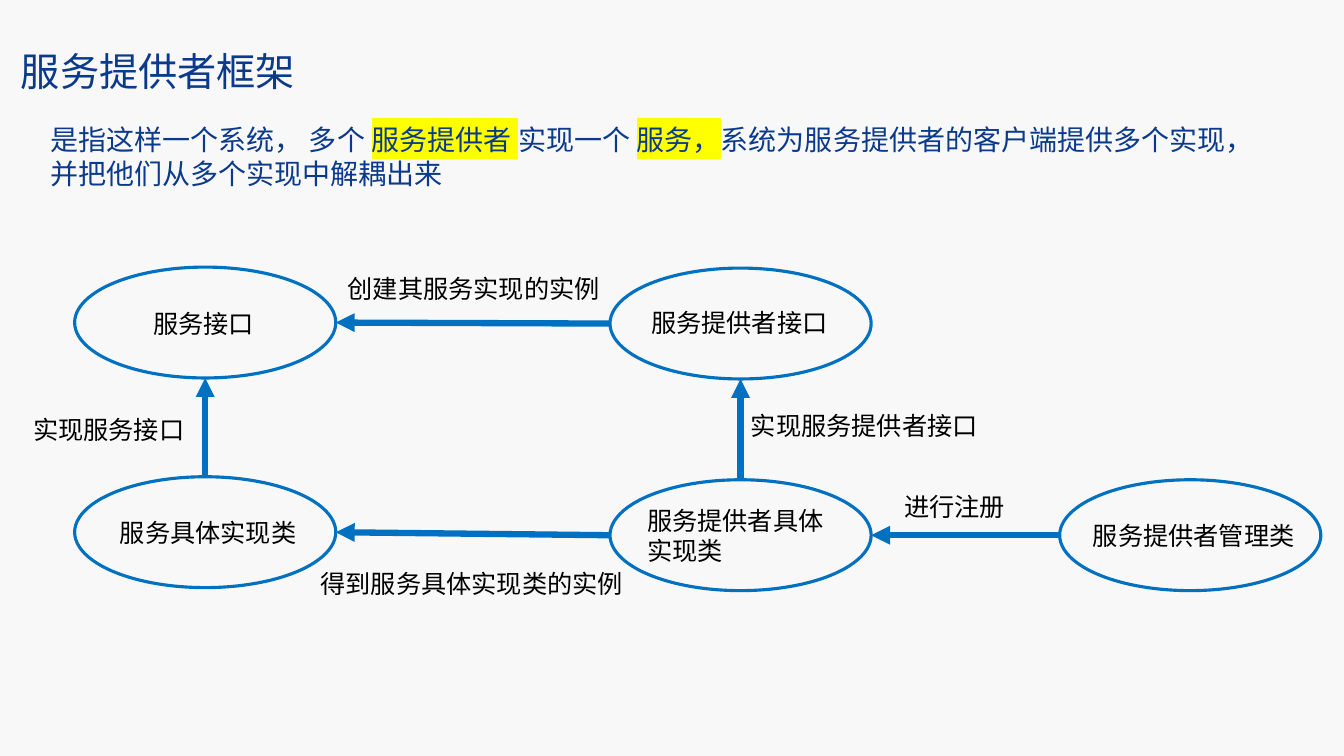
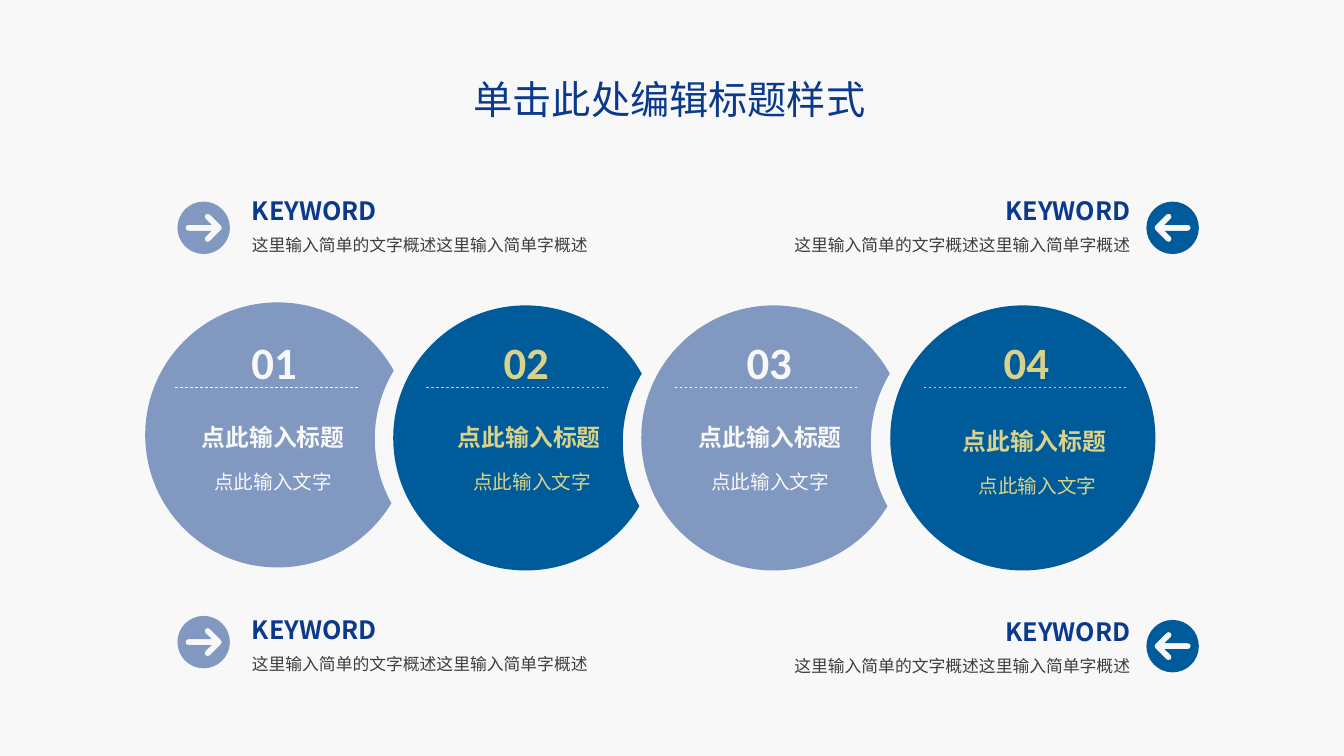
from itertools import pairwise
from math import cos, radians, sin, tan

from lxml.etree import SubElement
from pptx import Presentation
from pptx.dml.color import RGBColor
from pptx.enum.dml import MSO_LINE
from pptx.enum.shapes import MSO_CONNECTOR, MSO_SHAPE
from pptx.enum.text import MSO_AUTO_SIZE, PP_ALIGN
from pptx.oxml.ns import qn
from pptx.util import Inches, Pt

NAVY = RGBColor(0x0B, 0x3A, 0x8C)
BLUE = RGBColor(0x00, 0x5B, 0x9A)
BRIGHT_BLUE = RGBColor(0x00, 0x70, 0xC0)
PALE = RGBColor(0xF8, 0xF8, 0xF8)
SAND = RGBColor(0xD9, 0xD2, 0x8A)
GREY = RGBColor(0x3E, 0x3E, 0x3E)
BLACK = RGBColor(0, 0, 0)
CJK = "Noto Sans CJK SC"
LATIN = "Calibri"

TITLE = {"size": Pt(28), "name": CJK}
INTRO = {"size": Pt(20), "name": CJK}
LABEL = {"size": Pt(18), "name": LATIN}
NUMBER = {"size": Pt(32), "name": LATIN, "bold": True}
HEADING = {"size": Pt(17), "name": CJK, "bold": True}
CAPTION = {"size": Pt(14), "name": CJK}
KEYWORD = {"size": Pt(18), "name": CJK, "bold": True}
SUMMARY = {"size": Pt(12), "name": CJK}

# Slide 1: runs are (text, highlighted)
FRAMEWORK_TITLE = "服务提供者框架"
DEFINITION = [
    [("是指这样一个系统， 多个 ", False), ("服务提供者 ", True), ("实现一个 ", False),
     ("服务，", True), ("系统为服务提供者的客户端提供多个实现，", False)],
    [("并把他们从多个实现中解耦出来", False)],
]
NODE_W, NODE_H = 2.59, 1.1
NODES = {  # left, top, label, label box
    "service": (0.74, 2.65, "服务接口", (1.42, 3.01, 1.21, 0.4)),
    "provider": (6.05, 2.66, "服务提供者接口", (6.36, 3.0, 1.97, 0.4)),
    "service_class": (0.74, 4.73, "服务具体实现类", (1.09, 5.08, 1.96, 0.4)),
    "provider_class": (6.05, 4.76, "服务提供者具体\n实现类", (6.32, 4.96, 1.97, 0.71)),
    "manager": (10.51, 4.76, "服务提供者管理类", (10.74, 5.11, 2.22, 0.4)),
}
RELATIONS = [  # source, target, direction, label, label box
    ("provider", "service", "left", "创建其服务实现的实例", (3.35, 2.66, 2.73, 0.4)),
    ("provider_class", "service_class", "left", "得到服务具体实现类的实例",
     (3.08, 5.59, 3.23, 0.4)),
    ("service_class", "service", "up", "实现服务接口", (0.23, 4.06, 1.72, 0.4)),
    ("provider_class", "provider", "up", "实现服务提供者接口", (7.35, 4.02, 2.47, 0.4)),
    ("manager", "provider_class", "left", "进行注册", (8.87, 4.83, 1.21, 0.4)),
]

# Slide 2
STEPS_TITLE = "单击此处编辑标题样式"
STEP_HEADING, STEP_CAPTION = "点此输入标题", "点此输入文字"
KEYWORD_TEXT = "KEYWORD"
SUMMARY_TEXT = "这里输入简单的文字概述这里输入简单字概述"
RADIUS, STEP_LEFT, STEP_PITCH = 1.315, 1.44, 2.46
STEPS = [  # circle top, number left, rule ends, heading left, caption left, heading top
    (3.0, 2.39, (1.74, 3.55), 1.48, 1.48, 4.0),
    (3.03, 4.89, (4.23, 6.03), 4.02, 4.05, 4.0),
    (3.03, 7.3, (6.69, 8.5), 6.41, 6.41, 4.0),
    (3.03, 9.85, (9.16, 11.18), 9.03, 9.06, 4.04),
]
NOTES = [  # icon top, keyword top, on the right
    (2.0, 1.89, False), (6.11, 6.05, False),
    (2.0, 1.89, True), (6.15, 6.07, True),
]


def new_slide(deck, title, title_box):
    slide = deck.slides.add_slide(deck.slide_layouts[6])
    slide.background.fill.solid()
    slide.background.fill.fore_color.rgb = PALE
    add_text(slide, title_box, title, TITLE, NAVY)
    return slide


def add_text(slide, box, content, font, color, wrap=False,
             align=PP_ALIGN.LEFT, spacing=None):
    """Add a box from a string, or from paragraphs of (text, highlighted) runs."""
    frame = slide.shapes.add_textbox(*map(Inches, box)).text_frame
    frame.word_wrap = wrap
    frame.auto_size = MSO_AUTO_SIZE.SHAPE_TO_FIT_TEXT
    if isinstance(content, str):
        content = [[(line, False)] for line in content.split("\n")]
    for i, runs in enumerate(content):
        paragraph = frame.add_paragraph() if i else frame.paragraphs[0]
        paragraph.alignment = align
        if spacing:
            paragraph.line_spacing = spacing
        for text, highlighted in runs:
            run = paragraph.add_run()
            run.text = text
            for key, value in font.items():
                setattr(run.font, key, value)
            run.font.color.rgb = color
            properties = run.font._element
            SubElement(properties, qn("a:ea")).set("typeface", CJK)
            if highlighted:
                mark = SubElement(properties, qn("a:highlight"))
                SubElement(mark, qn("a:srgbClr")).set("val", "FFFF00")
                properties.find(qn("a:solidFill")).addnext(mark)


def add_line(slide, start, end, color, width):
    line = slide.shapes.add_connector(
        MSO_CONNECTOR.STRAIGHT, *map(Inches, (*start, *end)))
    line.line.color.rgb = color
    line.line.width = Pt(width)
    SubElement(line.element.spPr, qn("a:effectLst"))
    return line


def add_ellipse(slide, left, top, width, height):
    ellipse = slide.shapes.add_shape(
        MSO_SHAPE.OVAL, *map(Inches, (left, top, width, height)))
    ellipse.shadow.inherit = False
    return ellipse


def paint_tone(shape, is_dark):
    shape.shadow.inherit = False
    shape.line.fill.background()
    shape.fill.solid()
    shape.fill.fore_color.rgb = BLUE if is_dark else NAVY
    if not is_dark:
        value = shape.element.spPr.find(qn("a:solidFill")).find(qn("a:srgbClr"))
        SubElement(value, qn("a:alpha")).set("val", "50000")


def arc(x, y, radius, *angles):
    """A start point, then one curve (two handles and an end) per pair of angles."""
    def spot(angle, pull=0):
        a = radians(angle)
        return (x + radius * (cos(a) - pull * sin(a)),
                y + radius * (sin(a) + pull * cos(a)))

    segments = [[spot(angles[0])]]
    for start, stop in pairwise(angles):
        pull = 4 / 3 * tan(radians(stop - start) / 4)
        segments.append([spot(start, pull), spot(stop, -pull), spot(stop)])
    return segments


def add_outline(slide, *contours):
    """Draw closed contours of segments: one point is a line, three are a curve."""
    builder = None
    for contour in contours:
        start, *points = [(Inches(x), Inches(y)) for part in contour for x, y in part]
        if builder:
            builder.move_to(*start)
        else:
            builder = slide.shapes.build_freeform(*start)
        builder.add_line_segments(points)
    shape = builder.convert_to_shape()
    lines = iter(list(shape.element.spPr.iter(qn("a:lnTo"))))
    for part in (part for contour in contours for part in contour[1:]):
        steps = [next(lines) for _ in part]
        if len(steps) == 3:
            outline = steps[0].getparent()
            curve = SubElement(outline, qn("a:cubicBezTo"))
            steps[0].addprevious(curve)
            for step in steps:
                curve.append(step[0])
                outline.remove(step)
    return shape


def add_crescent(slide, left, top):
    """A disc bitten on the right by a disc of the same radius, slightly lower."""
    x, y, tilt = left + RADIUS, top + RADIUS, 1
    reach = 2 * RADIUS * cos(radians(30))
    bite = arc(x + reach * cos(radians(tilt)), y + reach * sin(radians(tilt)),
               RADIUS, 210 + tilt, 180, 150 + tilt)
    return add_outline(
        slide, arc(x, y, RADIUS, 30 + tilt, 90, 180, 270, 330 + tilt) + bite[1:])


def add_arrow_icon(slide, left, top, points_left):
    """A disc with a round-ended arrow cut out."""
    radius, stroke = 0.26, 0.03
    x, y = left + radius, top + radius
    arrow = (arc(-0.15, 0, stroke, 90, 180, 270) + [[(0.08, -stroke)]]
             + arc(0.04, -0.11, stroke, 135, 225, 315)
             + arc(0.15, 0, stroke, -45, 45)
             + arc(0.04, 0.11, stroke, 45, 135, 225) + [[(0.08, stroke)]])
    side = -1 if points_left else 1
    hole = [[(x + side * dx, y + dy) for dx, dy in part] for part in arrow]
    disc = arc(x, y, radius, 0, 90, 180, 270, 360)
    paint_tone(add_outline(slide, hole, disc), points_left)


def build_framework(deck):
    slide = new_slide(deck, FRAMEWORK_TITLE, (0.11, 0.42, 2.95, 0.57))
    add_text(slide, (0.4, 1.17, 12.31, 0.77), DEFINITION, INTRO, NAVY)
    for left, top, label, box in NODES.values():
        node = add_ellipse(slide, left, top, NODE_W, NODE_H)
        node.fill.background()
        node.line.color.rgb = BRIGHT_BLUE
        node.line.width = Pt(2.25)
        add_text(slide, box, label, LABEL, BLACK)
    for source, target, direction, label, box in RELATIONS:
        (x1, y1), (x2, y2) = NODES[source][:2], NODES[target][:2]
        if direction == "left":
            start, end = (x1, y1 + NODE_H / 2), (x2 + NODE_W, y2 + NODE_H / 2)
        else:
            start, end = (x1 + NODE_W / 2, y1), (x2 + NODE_W / 2, y2 + NODE_H)
        arrow = add_line(slide, start, end, BRIGHT_BLUE, 4.5)
        SubElement(arrow.line._get_or_add_ln(), qn("a:tailEnd")).set("type", "triangle")
        add_text(slide, box, label, LABEL, BLACK)


def build_steps(deck):
    slide = new_slide(deck, STEPS_TITLE, (4.6, 0.7, 4.13, 0.57))
    centred = {"align": PP_ALIGN.CENTER, "spacing": 1.5}
    for i, (top, number_x, rule, heading_x, caption_x, heading_y) in enumerate(STEPS):
        left, is_dark = STEP_LEFT + i * STEP_PITCH, i % 2 == 1
        if i < len(STEPS) - 1:
            disc = add_crescent(slide, left, top)
        else:
            disc = add_ellipse(slide, left + 0.01, top, 2 * RADIUS, 2 * RADIUS)
        paint_tone(disc, is_dark)
        color = SAND if is_dark else PALE
        add_text(slide, (number_x, 3.01, 0.66, 0.83), f"{i + 1:02}", NUMBER, color,
                 **centred)
        divider = add_line(slide, (rule[0], 3.84), (rule[1], 3.84), color, 0.5)
        divider.line.dash_style = MSO_LINE.DASH
        add_text(slide, (heading_x, heading_y, 2.46, 0.48), STEP_HEADING, HEADING,
                 color, wrap=True, **centred)
        add_text(slide, (caption_x, heading_y + 0.5, 2.46, 0.41), STEP_CAPTION,
                 CAPTION, color, wrap=True, **centred)
    for icon_y, keyword_y, on_right in NOTES:
        add_arrow_icon(slide, 11.37 if on_right else 1.76, icon_y, on_right)
        align = PP_ALIGN.RIGHT if on_right else PP_ALIGN.LEFT
        keyword_x, summary_x, summary_w = (
            (9.77, 7.77, 3.54) if on_right else (2.4, 2.4, 3.6))
        add_text(slide, (keyword_x, keyword_y, 1.54, 0.4), KEYWORD_TEXT, KEYWORD,
                 NAVY, align=align)
        add_text(slide, (summary_x, keyword_y + 0.29, summary_w, 0.37), SUMMARY_TEXT,
                 SUMMARY, GREY, wrap=True, align=align, spacing=1.5)


def main():
    deck = Presentation()
    deck.slide_width, deck.slide_height = Inches(13.33), Inches(7.5)
    build_framework(deck)
    build_steps(deck)
    deck.save("out.pptx")


if __name__ == "__main__":
    main()
